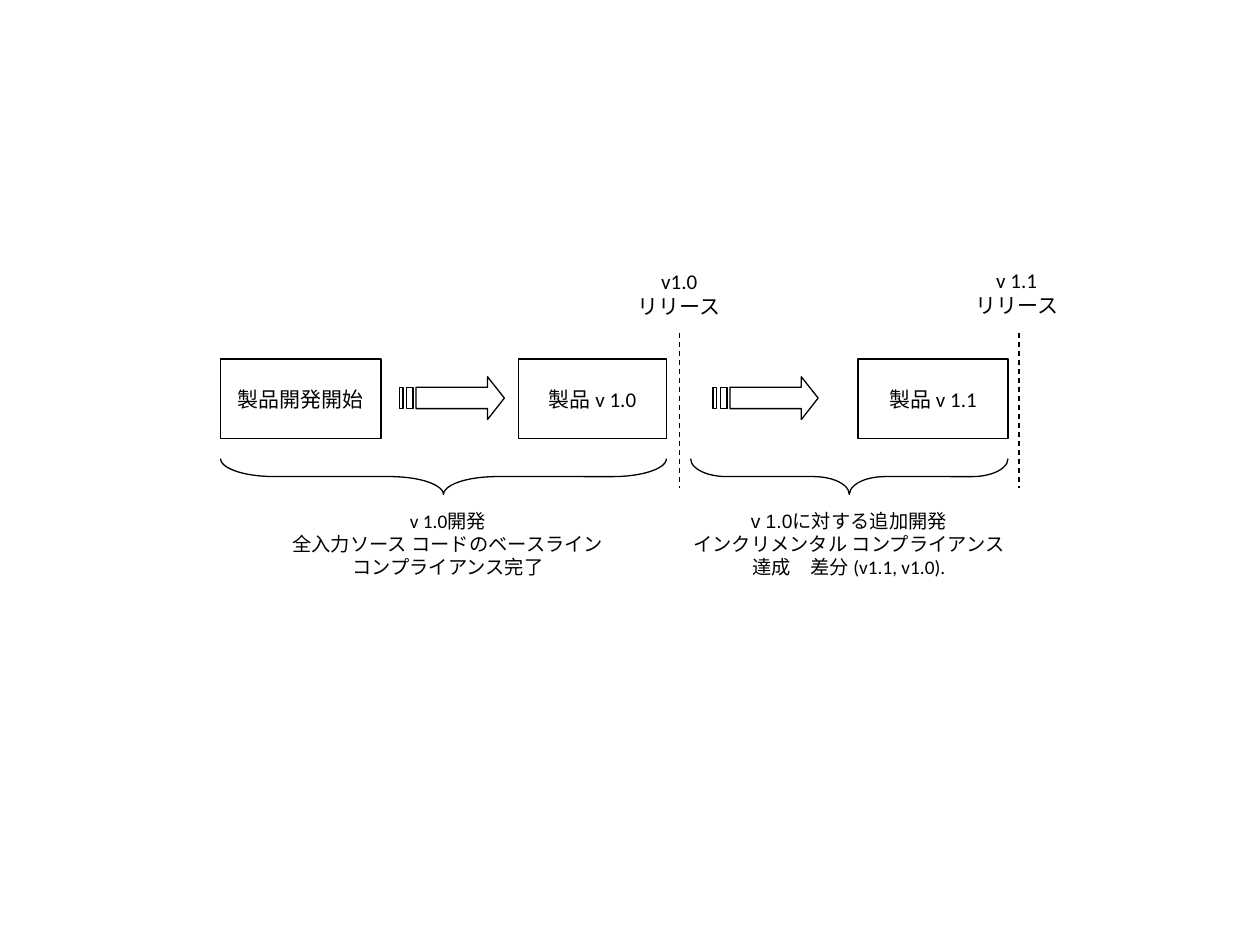
from dataclasses import dataclass

from lxml.etree import SubElement
from pptx import Presentation
from pptx.dml.color import RGBColor
from pptx.enum.dml import MSO_LINE
from pptx.enum.shapes import MSO_CONNECTOR, MSO_SHAPE
from pptx.enum.text import MSO_ANCHOR, MSO_AUTO_SIZE, PP_ALIGN
from pptx.oxml.ns import qn
from pptx.shapes.autoshape import Shape
from pptx.slide import Slide
from pptx.text.text import TextFrame
from pptx.util import Pt


@dataclass(frozen=True)
class Theme:
    ink: RGBColor = RGBColor(0, 0, 0)
    paper: RGBColor = RGBColor(255, 255, 255)
    font: str = "Calibri"
    lead_font: str = "Arial"
    label_size: float = 12
    caption_size: float = 11
    stroke: float = 0.75


@dataclass(frozen=True)
class Stage:
    text: str
    left: float
    width: float


@dataclass(frozen=True)
class Release:
    version: str
    line_x: float
    label_left: float
    label_top: float


@dataclass(frozen=True)
class Phase:
    left: float
    right: float
    curl: float
    caption_left: float
    wrap: bool
    lines: tuple[tuple[str, str], ...]


THEME = Theme()
STAGE_TOP, STAGE_HEIGHT = 205.2, 45.4
ARROW_TOP = 215.3
BRACE_TOP, BRACE_DEPTH = 262.1, 20.5
RELEASE_TOP, RELEASE_BOTTOM = 190.1, 278.6
LABEL_WIDTH, LABEL_HEIGHT = 61.9, 36
CAPTION_TOP, CAPTION_WIDTH, CAPTION_HEIGHT = 287.3, 193.7, 46.8

STAGES = (
    Stage("製品開発開始", 126, 91.8),
    Stage("製品 v 1.0", 296.2, 84.8),
    Stage("製品 v 1.1", 490.3, 85.7),
)
ARROW_LEFTS = (228.2, 407.5)
ARROW_CONTOURS = (
    ((50.4, 0), (50.4, 6), (9.6, 6), (9.6, 18.2), (50.4, 18.2), (50.4, 24.4), (60, 12.2)),
    ((4.2, 6), (4.2, 18.2), (7.9, 18.2), (7.9, 6)),
    ((0, 6), (0, 18.2), (2.1, 18.2), (2.1, 6)),
)
RELEASES = (
    Release("v1.0", 388.3, 357.2, 149.8),
    Release("v 1.1", 582.3, 550, 149.2),
)
PHASES = (
    Phase(126, 380.8, 1.5, 159.1, False, (
        ("v 1.0開発", THEME.font),
        ("全入力ソース コードのベースライン", THEME.font),
        ("コンプライアンス完了", THEME.font),
    )),
    Phase(394.6, 576, 1, 388.3, True, (
        ("v 1.0に対する追加開発", THEME.lead_font),
        ("インクリメンタル コンプライアンス達成　差分 (v1.1, v1.0).", THEME.font),
    )),
)


def outline(shape: Shape) -> None:
    shape.shadow.inherit = False
    shape.line.color.rgb = THEME.ink
    shape.line.width = Pt(THEME.stroke)


def write(frame: TextFrame, lines: tuple[tuple[str, str], ...], size: float) -> None:
    for index, (text, font) in enumerate(lines):
        paragraph = frame.add_paragraph() if index else frame.paragraphs[0]
        paragraph.alignment = PP_ALIGN.CENTER
        run = paragraph.add_run()
        run.text = text
        run.font.name = font
        run.font.size = Pt(size)
        run.font.color.rgb = THEME.ink


def add_label(slide: Slide, left: float, top: float, width: float, height: float,
              lines: tuple[tuple[str, str], ...], size: float, wrap: bool = False) -> None:
    frame = slide.shapes.add_textbox(Pt(left), Pt(top), Pt(width), Pt(height)).text_frame
    frame.word_wrap = wrap
    frame.auto_size = MSO_AUTO_SIZE.SHAPE_TO_FIT_TEXT
    write(frame, lines, size)


def add_stage(slide: Slide, stage: Stage) -> None:
    box = slide.shapes.add_shape(MSO_SHAPE.RECTANGLE, Pt(stage.left), Pt(STAGE_TOP),
                                 Pt(stage.width), Pt(STAGE_HEIGHT))
    outline(box)
    box.fill.solid()
    box.fill.fore_color.rgb = THEME.paper
    box.text_frame.word_wrap = False
    box.text_frame.vertical_anchor = MSO_ANCHOR.MIDDLE
    write(box.text_frame, ((stage.text, THEME.font),), THEME.label_size)


def add_striped_arrow(slide: Slide, left: float) -> None:
    contours = [[(Pt(x), Pt(y)) for x, y in contour] for contour in ARROW_CONTOURS]
    builder = slide.shapes.build_freeform(*contours[0][0])
    for index, (start, *corners) in enumerate(contours):
        if index:
            builder.move_to(*start)
        builder.add_line_segments(corners, close=True)
    arrow = builder.convert_to_shape(Pt(left), Pt(ARROW_TOP))
    outline(arrow)
    arrow.fill.background()


def add_release(slide: Slide, release: Release) -> None:
    divider = slide.shapes.add_connector(MSO_CONNECTOR.STRAIGHT, Pt(release.line_x), Pt(RELEASE_TOP),
                                         Pt(release.line_x), Pt(RELEASE_BOTTOM))
    divider.line.color.rgb = THEME.ink
    divider.line.width = Pt(THEME.stroke)
    divider.line.dash_style = MSO_LINE.DASH
    SubElement(divider._element.spPr, qn("a:effectLst"))
    lines = ((release.version, THEME.font), ("リリース", THEME.font))
    add_label(slide, release.label_left, release.label_top, LABEL_WIDTH, LABEL_HEIGHT,
              lines, THEME.label_size)


def add_phase(slide: Slide, phase: Phase) -> None:
    span = phase.right - phase.left
    left = (phase.left + phase.right - BRACE_DEPTH) / 2
    top = BRACE_TOP + (BRACE_DEPTH - span) / 2
    brace = slide.shapes.add_shape(MSO_SHAPE.RIGHT_BRACE, Pt(left), Pt(top), Pt(BRACE_DEPTH), Pt(span))
    brace.rotation = 90
    brace.adjustments[0] = phase.curl
    outline(brace)
    brace.fill.background()
    add_label(slide, phase.caption_left, CAPTION_TOP, CAPTION_WIDTH, CAPTION_HEIGHT,
              phase.lines, THEME.caption_size, phase.wrap)


def main() -> None:
    deck = Presentation()
    deck.slide_width, deck.slide_height = Pt(720), Pt(540)
    slide = deck.slides.add_slide(deck.slide_layouts.get_by_name("Blank"))
    for stage in STAGES:
        add_stage(slide, stage)
    for arrow_left in ARROW_LEFTS:
        add_striped_arrow(slide, arrow_left)
    for phase in PHASES:
        add_phase(slide, phase)
    for release in RELEASES:
        add_release(slide, release)
    deck.save("out.pptx")


if __name__ == "__main__":
    main()
